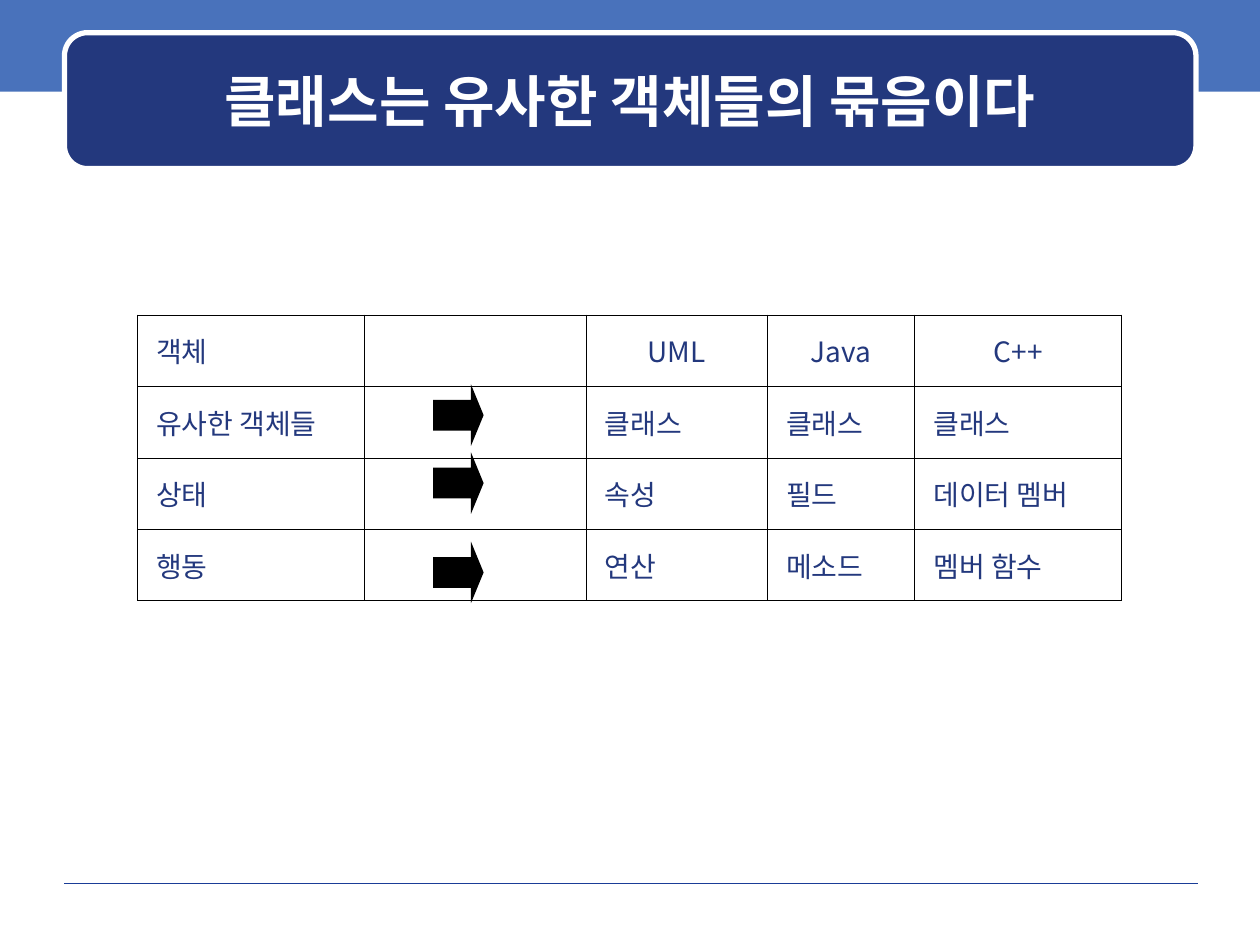
"""Build a slide that maps object concepts to UML, Java and C++ terms."""
from typing import NamedTuple

from lxml import etree
from pptx import Presentation
from pptx.dml.color import RGBColor
from pptx.enum.shapes import MSO_CONNECTOR, MSO_SHAPE
from pptx.enum.text import MSO_ANCHOR, PP_ALIGN
from pptx.oxml.ns import qn
from pptx.util import Cm, Pt

RECTANGLE, ROUNDED = MSO_SHAPE.RECTANGLE, MSO_SHAPE.ROUNDED_RECTANGLE
RIGHT_ARROW, STRAIGHT = MSO_SHAPE.RIGHT_ARROW, MSO_CONNECTOR.STRAIGHT
MIDDLE, CENTER, JUSTIFY = MSO_ANCHOR.MIDDLE, PP_ALIGN.CENTER, PP_ALIGN.JUSTIFY

NAVY = RGBColor(0x23, 0x38, 0x7D)
BLUE = RGBColor(0x49, 0x72, 0xBB)
RULE_BLUE = RGBColor(0x1A, 0x3D, 0x97)
WHITE = RGBColor(0xFF, 0xFF, 0xFF)
BLACK = RGBColor(0x00, 0x00, 0x00)
FONT = "Noto Sans CJK KR"

TITLE = "클래스는 유사한 객체들의 묶음이다"
TERMS = [
    ["객체", "", "UML", "Java", "C++"],
    ["유사한 객체들", "", "클래스", "클래스", "클래스"],
    ["상태", "", "속성", "필드", "데이터 멤버"],
    ["행동", "", "연산", "메소드", "멤버 함수"],
]
COLUMN_WIDTHS = [4.57, 4.47, 3.66, 2.97, 4.17]
ROW_HEIGHT = 1.44
ARROW_TOPS = [7.75, 9.12, 10.92]


class Block(NamedTuple):
    kind: int
    left: float
    top: float
    width: float
    height: float
    fill: RGBColor
    adjustments: tuple = ()
    outline: RGBColor | None = None


def draw_block(slide, block: Block) -> None:
    """Draw one filled preset shape."""
    shape = slide.shapes.add_shape(
        block.kind, Cm(block.left), Cm(block.top), Cm(block.width), Cm(block.height))
    shape.shadow.inherit = False
    for index, value in enumerate(block.adjustments):
        shape.adjustments[index] = value
    shape.fill.solid()
    shape.fill.fore_color.rgb = block.fill
    if block.outline is None:
        shape.line.fill.background()
    else:
        shape.line.color.rgb = block.outline
        shape.line.width = Pt(3)


def write_text(frame, text: str, *, size: float, color: RGBColor,
               align: PP_ALIGN, bold: bool = False) -> None:
    """Write one formatted paragraph into a text frame."""
    paragraph = frame.paragraphs[0]
    paragraph.alignment = align
    run = paragraph.add_run()
    run.text = text
    font = run.font
    font.name, font.size, font.bold = FONT, Pt(size), bold
    font.color.rgb = color
    etree.SubElement(run._r.get_or_add_rPr(), qn("a:ea"), typeface=FONT)


def draw_title(slide) -> None:
    """Write the title over its panel."""
    title = slide.shapes.add_textbox(Cm(1.52), Cm(0.89), Cm(22.38), Cm(2.24))
    title.text_frame.word_wrap = True
    title.text_frame.vertical_anchor = MIDDLE
    write_text(title.text_frame, TITLE, size=32, color=WHITE, align=CENTER, bold=True)


def draw_footer_rule(slide) -> None:
    """Draw the thin rule at the foot of the slide."""
    rule = slide.shapes.add_connector(STRAIGHT, Cm(1.3), Cm(17.81), Cm(24.16), Cm(17.81))
    rule.line.color.rgb = RULE_BLUE
    rule.line.width = Pt(0.25)
    etree.SubElement(rule._element.spPr, qn("a:effectLst"))


def add_borders(cell) -> None:
    """Give a cell thin black borders on every side."""
    properties = cell._tc.get_or_add_tcPr()
    for side in ("a:lnL", "a:lnR", "a:lnT", "a:lnB"):
        border = etree.SubElement(properties, qn(side), w=str(Pt(0.45)))
        fill = etree.SubElement(border, qn("a:solidFill"))
        etree.SubElement(fill, qn("a:srgbClr"), val=str(BLACK))


def draw_terms(slide) -> None:
    """Draw the table of matching terms."""
    table = slide.shapes.add_table(
        len(TERMS), len(COLUMN_WIDTHS), Cm(2.77), Cm(6.35),
        Cm(sum(COLUMN_WIDTHS)), Cm(ROW_HEIGHT * len(TERMS))).table
    table.first_row = table.horz_banding = False
    for column, width in zip(table.columns, COLUMN_WIDTHS):
        column.width = Cm(width)
    for row_index, terms in enumerate(TERMS):
        table.rows[row_index].height = Cm(ROW_HEIGHT)
        for column_index, term in enumerate(terms):
            cell = table.cell(row_index, column_index)
            add_borders(cell)
            cell.fill.background()
            cell.vertical_anchor = MIDDLE
            cell.margin_left = cell.margin_right = Cm(0.38)
            cell.margin_top = cell.margin_bottom = Cm(0.13)
            if term:
                is_language = row_index == 0 and column_index > 0
                write_text(cell.text_frame, term, size=16, color=NAVY,
                           align=CENTER if is_language else JUSTIFY)


def main() -> None:
    """Assemble and save the slide."""
    presentation = Presentation()
    presentation.slide_width, presentation.slide_height = Cm(25.4), Cm(19.05)
    slide = presentation.slides.add_slide(presentation.slide_layouts[6])
    draw_block(slide, Block(RECTANGLE, 0, -0.08, 25.4, 1.93, BLUE))
    draw_footer_rule(slide)
    draw_block(slide, Block(ROUNDED, 1.3, 0.66, 22.81, 2.74, NAVY, (0.17,), WHITE))
    draw_title(slide)
    draw_terms(slide)
    for top in ARROW_TOPS:
        draw_block(slide, Block(RIGHT_ARROW, 8.73, top, 1.02, 1.24, BLACK, (0.5, 0.25)))
    presentation.save("out.pptx")


if __name__ == "__main__":
    main()
